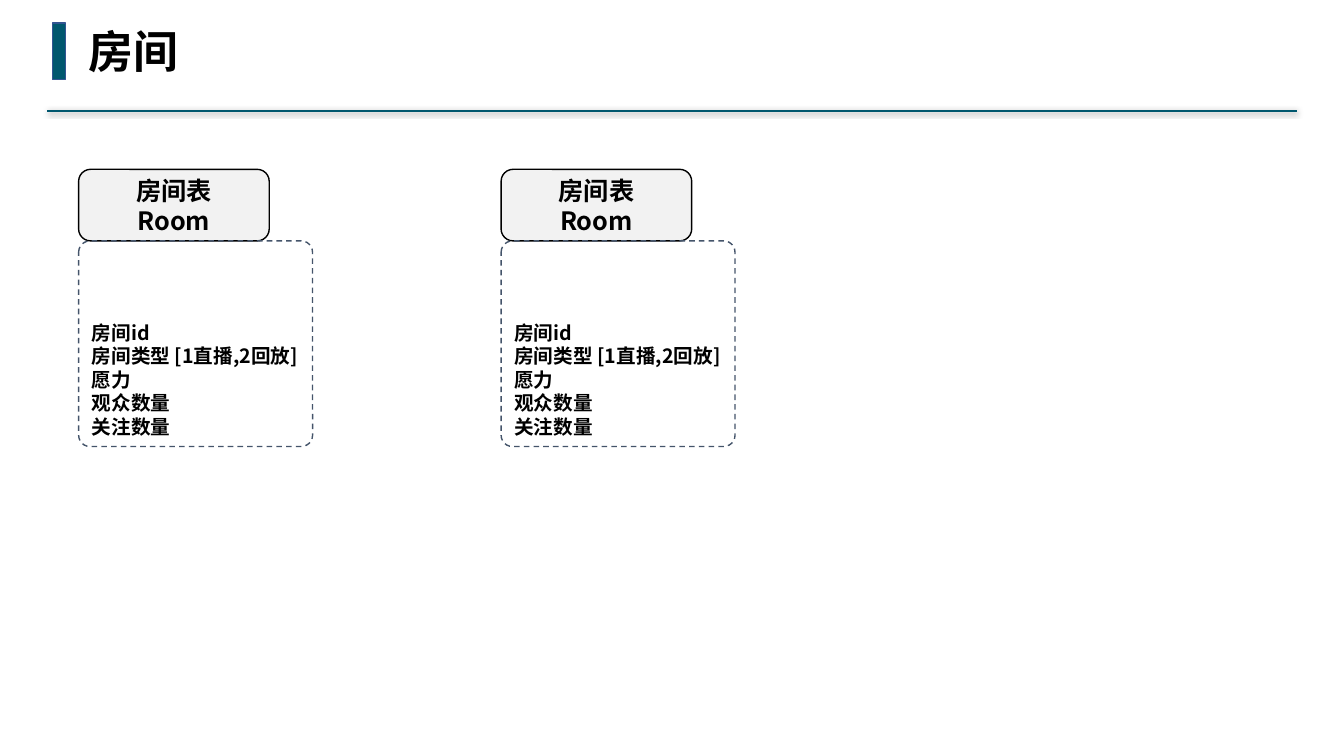
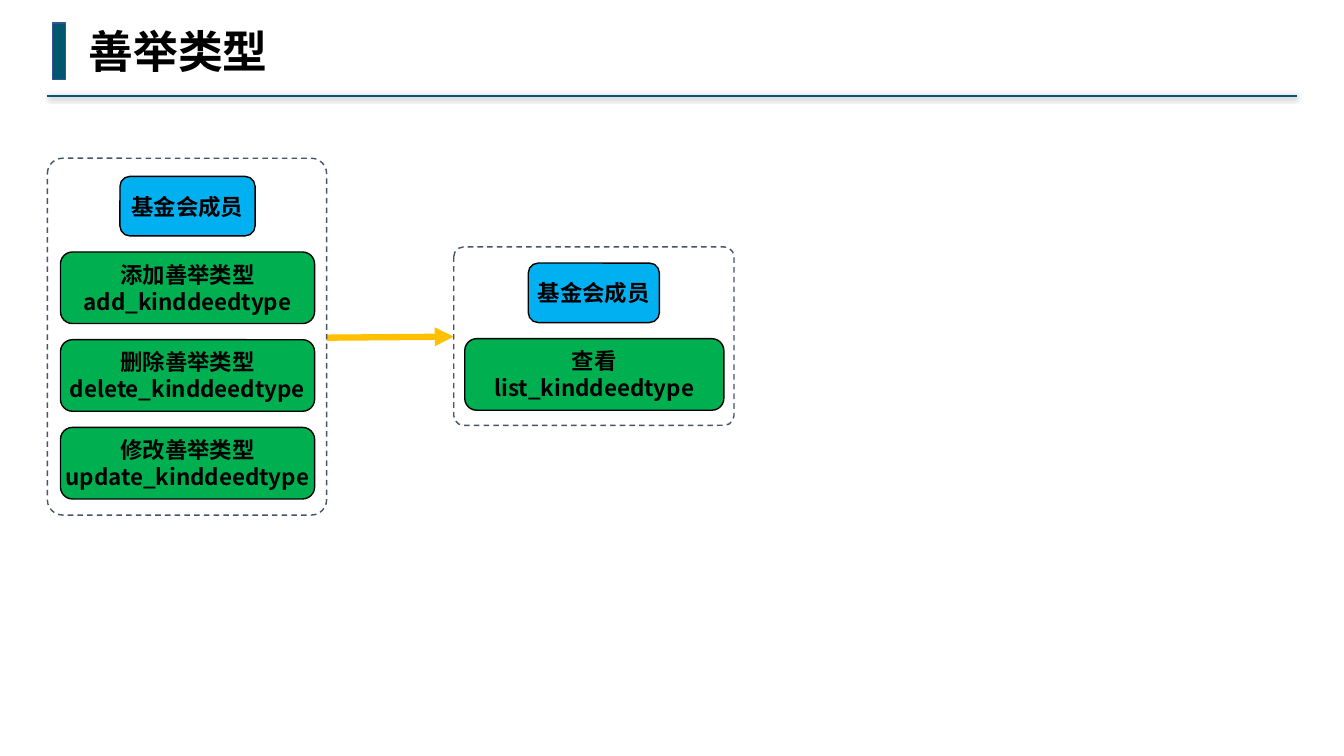
import copy
import dataclasses
import typing

import lxml.etree
import pptx
import pptx.dml.color
import pptx.enum.dml
import pptx.enum.shapes
import pptx.enum.text
import pptx.oxml.ns
import pptx.util

Inches = pptx.util.Inches
Pt = pptx.util.Pt
RGBColor = pptx.dml.color.RGBColor
Form = pptx.enum.shapes.MSO_SHAPE
Align = pptx.enum.text.PP_ALIGN
Anchor = pptx.enum.text.MSO_ANCHOR
qn = pptx.oxml.ns.qn

TEAL = RGBColor(0x00, 0x57, 0x6E)
NAVY = RGBColor(0x32, 0x54, 0x91)
SLATE = RGBColor(0x44, 0x54, 0x6A)
PALE = RGBColor(0xF2, 0xF2, 0xF2)
BLUE = RGBColor(0x00, 0xB0, 0xF0)
GREEN = RGBColor(0x00, 0xB0, 0x50)
GOLD = RGBColor(0xFF, 0xC0, 0x00)
BLACK = RGBColor(0x00, 0x00, 0x00)

SANS = "Noto Sans CJK SC"
MONO = "Noto Sans Mono"
INSET = Inches(0.04)
TIGHT = {
    "margin_left": INSET,
    "margin_right": INSET,
    "margin_top": INSET,
    "margin_bottom": INSET,
    "vertical_anchor": Anchor.MIDDLE,
    "word_wrap": False,
}
FIELDS = {"vertical_anchor": Anchor.BOTTOM, "word_wrap": True}
HEAD = {
    "word_wrap": False,
    "auto_size": pptx.enum.text.MSO_AUTO_SIZE.SHAPE_TO_FIT_TEXT,
}


@dataclasses.dataclass(frozen=True)
class Area:
    left: float
    top: float
    width: float
    height: float

    def sides(self) -> list[int]:
        return [Inches(side) for side in dataclasses.astuple(self)]


@dataclasses.dataclass(frozen=True)
class Box:
    area: Area
    fill: RGBColor
    lines: tuple[str, ...]
    size: int = 16


@dataclasses.dataclass(frozen=True)
class Panel:
    frame: Area
    boxes: tuple[Box, ...]


def apply(target: typing.Any, values: dict[str, typing.Any]) -> None:
    for name, value in values.items():
        setattr(target, name, value)


def write(
    shape: typing.Any,
    lines: tuple[str, ...],
    size: int,
    frame: dict[str, typing.Any],
    align: Align = Align.LEFT,
    face: str = SANS,
) -> None:
    text = shape.text_frame
    apply(text, frame)
    text.text = "\n".join(lines)
    font = {"size": Pt(size), "bold": True, "name": face}
    for para in text.paragraphs:
        para.alignment = align
        for run in para.runs:
            apply(run.font, font)
            run.font.color.rgb = BLACK
            props = run.font._element
            lxml.etree.SubElement(props, qn("a:ea")).set("typeface", SANS)
            for brk in para._p.findall(qn("a:br")):
                if not len(brk):
                    brk.append(copy.deepcopy(props))


def draw(
    shapes: typing.Any,
    form: Form,
    area: Area,
    fill: RGBColor | None,
    edge: RGBColor,
) -> typing.Any:
    shape = shapes.add_shape(form, *area.sides())
    shape.shadow.inherit = False
    if fill is None:
        shape.fill.background()
    else:
        shape.fill.solid()
        shape.fill.fore_color.rgb = fill
    shape.line.color.rgb = edge
    shape.line.width = Pt(1)
    return shape


def add_frame(shapes: typing.Any, area: Area) -> typing.Any:
    frame = draw(shapes, Form.ROUNDED_RECTANGLE, area, None, SLATE)
    frame.adjustments[0] = 0.055
    frame.line.dash_style = pptx.enum.dml.MSO_LINE.DASH
    return frame


def add_box(shapes: typing.Any, box: Box) -> None:
    shape = draw(shapes, Form.ROUNDED_RECTANGLE, box.area, box.fill, BLACK)
    write(shape, box.lines, box.size, TIGHT, Align.CENTER)


def add_panel(slide: typing.Any, panel: Panel) -> None:
    shapes = slide.shapes.add_group_shape().shapes
    add_frame(shapes, panel.frame)
    for box in panel.boxes:
        add_box(shapes, box)


def add_line(
    slide: typing.Any,
    start: tuple[float, float],
    end: tuple[float, float],
    tint: RGBColor,
    width: float,
) -> tuple[typing.Any, typing.Any]:
    line = slide.shapes.add_connector(
        pptx.enum.shapes.MSO_CONNECTOR.STRAIGHT,
        *[Inches(side) for side in start + end],
    )
    line.line.color.rgb = tint
    line.line.width = Pt(width)
    props = line._element.spPr
    return line, lxml.etree.SubElement(props, qn("a:effectLst"))


def add_rule(slide: typing.Any, top: float) -> None:
    glow = add_line(slide, (12.86, top), (0.47, top), TEAL, 1.5)[1]
    shade = lxml.etree.SubElement(glow, qn("a:outerShdw"))
    apply_xml = {
        "blurRad": Pt(4),
        "dist": Pt(1),
        "dir": 90 * 60000,
        "rotWithShape": 0,
    }
    for name, value in apply_xml.items():
        shade.set(name, str(int(value)))
    tint = lxml.etree.SubElement(shade, qn("a:srgbClr"), val=str(BLACK))
    lxml.etree.SubElement(tint, qn("a:alpha"), val="40000")


def add_arrow(
    slide: typing.Any, start: tuple[float, float], end: tuple[float, float]
) -> None:
    line = add_line(slide, start, end, GOLD, 4.5)[0]
    stroke = line.line._get_or_add_ln()
    lxml.etree.SubElement(stroke, qn("a:tailEnd"), type="triangle")


def add_page(
    deck: typing.Any, title: str, width: float, rule: float
) -> typing.Any:
    slide = deck.slides.add_slide(deck.slide_layouts[6])
    add_rule(slide, rule)
    draw(slide.shapes, Form.RECTANGLE, Area(0.52, 0.23, 0.13, 0.56), TEAL, NAVY)
    head = slide.shapes.add_textbox(*Area(0.78, 0.19, width, 0.64).sides())
    write(head, (title,), 32, HEAD, face=MONO)
    return slide


def add_table(slide: typing.Any, left: float) -> None:
    area = Area(left, 1.68, 1.89, 0.71)
    add_box(slide.shapes, Box(area, PALE, ("房间表", "Room"), 18))
    frame = add_frame(slide.shapes, Area(left, 2.39, 2.32, 2.04))
    lines = ("房间id\v房间类型 [1直播,2回放]", "愿力", "观众数量", "关注数量")
    write(frame, lines, 14, FIELDS)


def main() -> None:
    deck = pptx.Presentation()
    apply(deck, {"slide_width": Inches(13.33), "slide_height": Inches(7.5)})

    room = add_page(deck, "房间", 1.1, 1.1)
    for left in (0.78, 4.97):
        add_table(room, left)

    deeds = add_page(deck, "善举类型", 2, 0.95)
    add_arrow(deeds, (3.24, 3.35), (4.5, 3.34))
    role = ("基金会成员",)
    tasks = (
        ("添加善举类型", "add_kinddeedtype"),
        ("删除善举类型", "delete_kinddeedtype"),
        ("修改善举类型", "update_kinddeedtype"),
    )
    edits = tuple(
        Box(Area(0.6, 2.5 + 0.87 * row, 2.52, 0.71), GREEN, lines)
        for row, lines in enumerate(tasks)
    )
    member = Box(Area(1.19, 1.75, 1.34, 0.59), BLUE, role)
    viewer = Box(Area(5.24, 2.61, 1.3, 0.59), BLUE, role)
    view = Box(
        Area(4.61, 3.36, 2.57, 0.71), GREEN, ("查看", "list_kinddeedtype")
    )
    add_panel(deeds, Panel(Area(4.5, 2.45, 2.78, 1.77), (viewer, view)))
    add_panel(deeds, Panel(Area(0.47, 1.57, 2.77, 3.54), (member, *edits)))

    deck.save("out.pptx")


if __name__ == "__main__":
    main()
